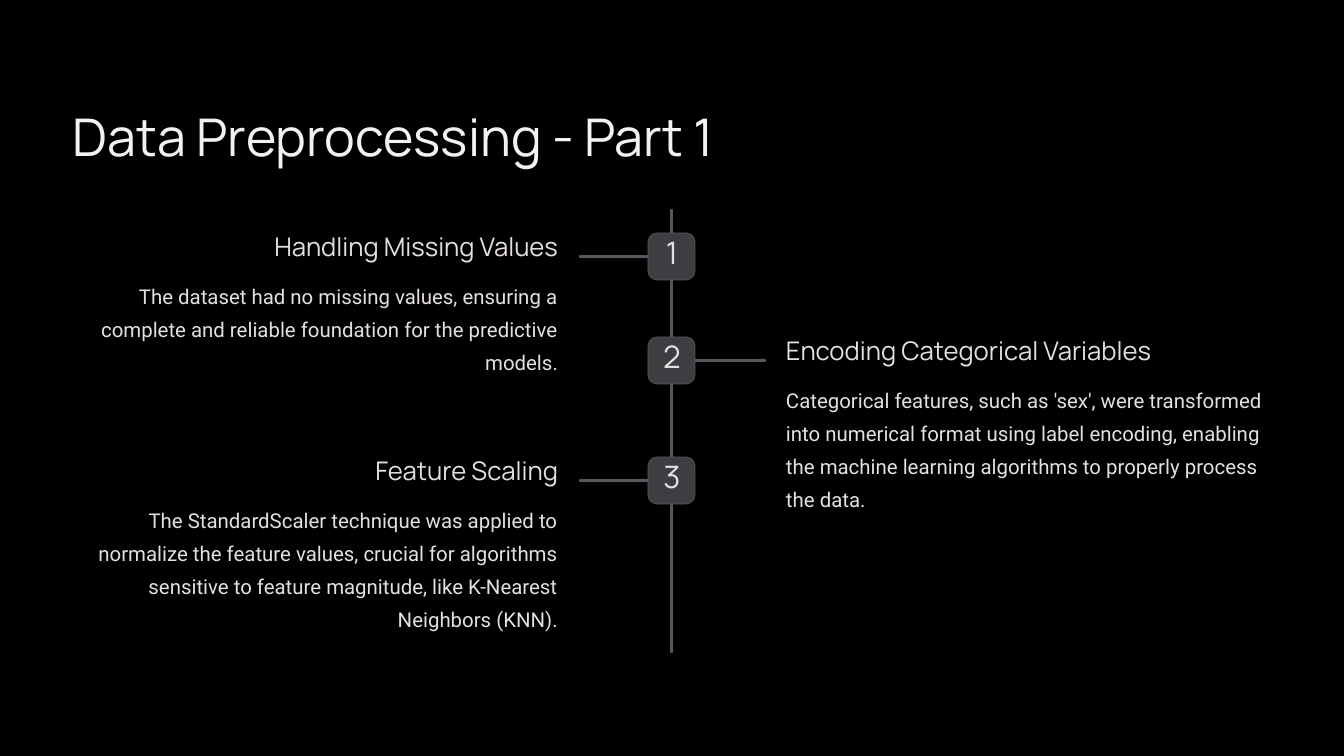
from dataclasses import dataclass

from pptx import Presentation
from pptx.dml.color import RGBColor
from pptx.enum import shapes, text
from pptx.util import Pt

PX = 914400 / 84


@dataclass(frozen=True)
class Theme:
    background: str = "000000"
    title: str = "F2F2F3"
    body: str = "E5E0DF"
    line: str = "56565B"
    badge: str = "3D3D42"
    heading_font: str = "Manrope"
    body_font: str = "Roboto"
    title_size: float = 44.5
    number_size: float = 26.5
    heading_size: float = 22
    body_size: float = 17.5


theme = Theme()
LEFT, CENTER, RIGHT = text.PP_ALIGN.LEFT, text.PP_ALIGN.CENTER, text.PP_ALIGN.RIGHT

deck = Presentation()
deck.slide_width = round(1344 * PX)
deck.slide_height = round(756 * PX)
page = deck.slides.add_slide(deck.slide_layouts[6])
page.background.fill.solid()
page.background.fill.fore_color.rgb = RGBColor.from_string(theme.background)


def add_text(bounds, words, font, size, spacing, color, align=LEFT, wrap=False):
    box = page.shapes.add_textbox(*[round(value * PX) for value in bounds])
    frame = box.text_frame
    frame.margin_left = frame.margin_right = frame.margin_top = frame.margin_bottom = 0
    frame.word_wrap = wrap
    frame.text = words
    para = frame.paragraphs[0]
    para.alignment = align
    para.line_spacing = Pt(spacing)
    span = para.runs[0]
    span.font.name = font
    span.font.size = Pt(size)
    span.font.color.rgb = RGBColor.from_string(color)


def add_block(bounds, color, rounding=0.5):
    block = page.shapes.add_shape(
        shapes.MSO_SHAPE.ROUNDED_RECTANGLE, *[round(value * PX) for value in bounds])
    block.adjustments[0] = rounding
    block.shadow.inherit = False
    block.fill.solid()
    block.fill.fore_color.rgb = RGBColor.from_string(color)
    block.line.fill.background()
    return block


add_text((73, 102, 692, 66), "Data Preprocessing - Part 1",
         theme.heading_font, theme.title_size, 55.5, theme.title)
add_block((670, 209, 3, 444), theme.line)

steps = [
    (233, RIGHT, 311, 100, "Handling Missing Values",
     "The dataset had no missing values, ensuring a complete and reliable "
     "foundation for the predictive models."),
    (337, LEFT, 408, 134, "Encoding Categorical Variables",
     "Categorical features, such as 'sex', were transformed into numerical format "
     "using label encoding, enabling the machine learning algorithms to properly "
     "process the data."),
    (457, RIGHT, 260, 134, "Feature Scaling",
     "The StandardScaler technique was applied to normalize the feature values, "
     "crucial for algorithms sensitive to feature magnitude, like K-Nearest "
     "Neighbors (KNN)."),
]

for number, (top, align, heading_width, body_height, heading, body) in enumerate(steps, 1):
    on_left = align == RIGHT
    branch_left = 579 if on_left else 693
    heading_left = 558 - heading_width if on_left else 786
    body_left = 73 if on_left else 786

    add_block((branch_left, top + 22, 73, 3), theme.line)
    badge = add_block((648, top, 47, 47), theme.badge, 0.187)
    badge.line.color.rgb = RGBColor.from_string(theme.line)
    badge.line.width = Pt(0.6)
    add_text((663, top + 7, 18, 31), str(number), theme.heading_font,
             theme.number_size, 26.5, theme.body, CENTER)
    add_text((heading_left, top - 3, heading_width, 33), heading, theme.heading_font,
             theme.heading_size, 27.5, theme.body, align)
    add_text((body_left, top + 42, 485, body_height), body, theme.body_font,
             theme.body_size, 28.5, theme.body, align, wrap=True)

deck.save("out.pptx")
